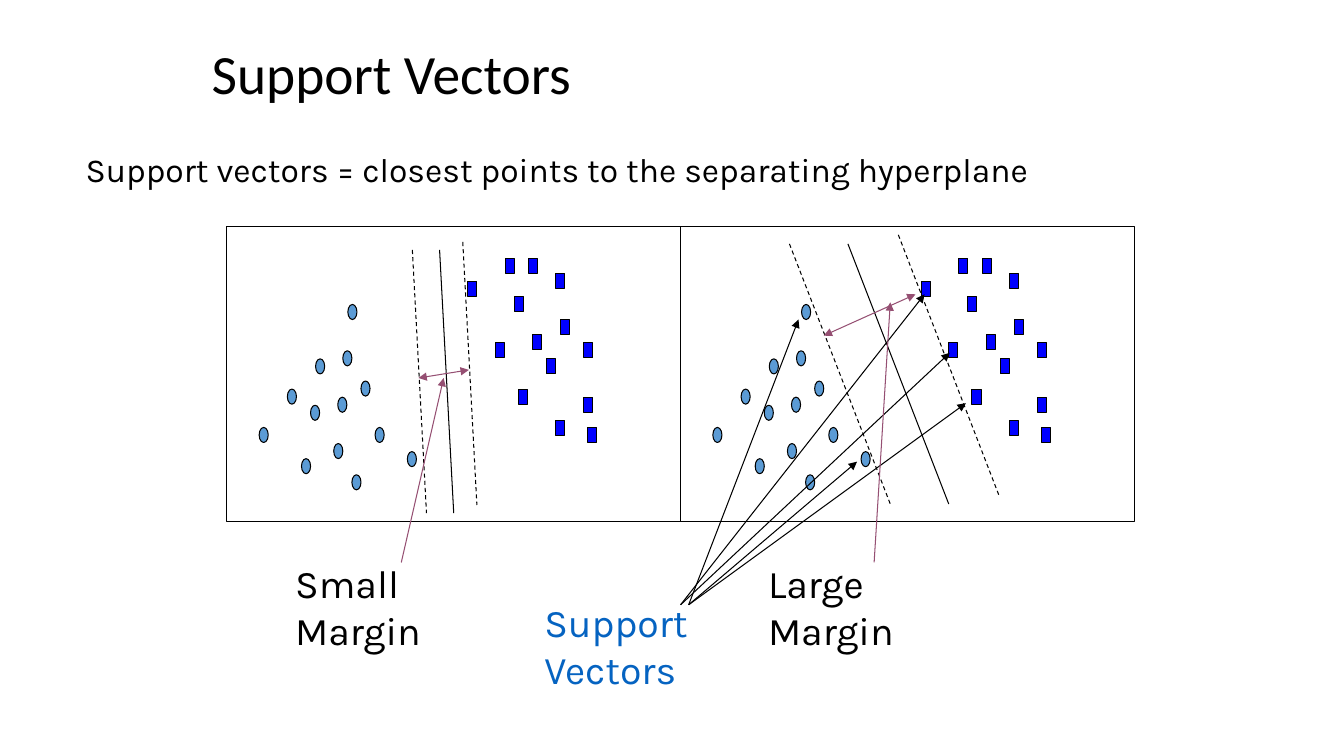
from lxml import etree
from pptx import Presentation
from pptx.dml.color import RGBColor
from pptx.enum.dml import MSO_LINE
from pptx.enum.shapes import MSO_CONNECTOR, MSO_SHAPE
from pptx.enum.text import MSO_ANCHOR
from pptx.oxml.ns import qn
from pptx.util import Inches, Pt

BLACK = RGBColor(0x00, 0x00, 0x00)
SKY = RGBColor(0x5B, 0x9B, 0xD5)
BLUE = RGBColor(0x00, 0x00, 0xFF)
PLUM = RGBColor(0x95, 0x4F, 0x72)
LINK = RGBColor(0x05, 0x63, 0xC1)
OVAL, RECT = MSO_SHAPE.OVAL, MSO_SHAPE.RECTANGLE
STRAIGHT, DASH, MIDDLE = MSO_CONNECTOR.STRAIGHT, MSO_LINE.DASH, MSO_ANCHOR.MIDDLE
THIN = Pt(0.75)

prs = Presentation()
prs.slide_width, prs.slide_height = Inches(13.33), Inches(7.5)
slide = prs.slides.add_slide(prs.slide_layouts[6])


def add_line(shapes, ends, color=BLACK, dash=None, heads=()):
    """Draw a thin line; heads names the arrowhead tags, headEnd before tailEnd."""
    line = shapes.add_connector(STRAIGHT, *[Inches(v) for v in ends])
    line.line.color.rgb = color
    line.line.width = THIN
    if dash:
        line.line.dash_style = dash
    for tag in heads:
        etree.SubElement(line.line._get_or_add_ln(), qn(tag), type="triangle")
    etree.SubElement(line._element.spPr, qn("a:effectLst"))


def add_mark(shapes, kind, box, fill=None):
    mark = shapes.add_shape(kind, *[Inches(v) for v in box])
    mark.shadow.inherit = False
    if fill:
        mark.fill.solid()
        mark.fill.fore_color.rgb = fill
    else:
        mark.fill.background()
    mark.line.color.rgb = BLACK
    mark.line.width = THIN


# Both panels show the same points, with different separating lines
dots = [(2.99, 4.55), (3.08, 4.02), (2.57, 4.24), (2.85, 3.86), (3.31, 4.4),
        (3.13, 3.56), (3.35, 3.94), (3.4, 3.48), (3.58, 3.78), (3.72, 4.24),
        (3.49, 4.71), (4.04, 4.48), (3.45, 3.02)]
blocks = [(4.91, 3.4), (4.64, 2.79), (5.01, 2.56), (5.14, 3.86), (5.1, 2.94),
          (5.28, 3.32), (5.24, 2.56), (5.51, 2.71), (5.42, 3.56), (5.56, 3.17),
          (5.51, 4.17), (5.79, 3.4), (5.79, 3.94), (5.83, 4.24)]
panels = [
    (2.25, [((4.59, 2.4, 4.73, 5.01), DASH), ((4.09, 2.48, 4.23, 5.09), DASH),
            ((4.36, 2.48, 4.5, 5.09), None)]),
    (6.75, [((7.83, 2.42, 8.83, 5), DASH), ((8.91, 2.33, 9.91, 4.92), DASH),
            ((8.41, 2.42, 9.41, 5), None)]),
]
for left, planes in panels:
    panel = slide.shapes.add_group_shape().shapes
    shift = left - panels[0][0]
    for kind, fill, spots in [(OVAL, SKY, dots), (RECT, BLUE, blocks)]:
        for x, y in spots:
            add_mark(panel, kind, (x + shift, y, 0.09, 0.15), fill)
    add_mark(panel, RECT, (left, 2.25, 4.5, 2.92))
    for ends, dash in planes:
        add_line(panel, ends, dash=dash)

# Arrows from the label to each support vector
vectors = [(6.75, 9.17, 2.92), (6.75, 9.42, 3.5), (6.83, 9.58, 4),
           (6.83, 8.5, 4.58), (6.83, 7.92, 3.17)]
for start, x, y in vectors:
    add_line(slide.shapes, (start, 6, x, y), heads=["a:tailEnd"])

# Margin width, then the pointer from its label
margins = [((4.15, 3.75, 4.65, 3.67), (3.98, 5.58, 4.4, 3.75)),
           ((8.17, 3.33, 9.08, 2.92), (8.67, 5.58, 8.83, 3))]
for span, pointer in margins:
    add_line(slide.shapes, span, PLUM, heads=["a:headEnd", "a:tailEnd"])
    add_line(slide.shapes, pointer, PLUM, heads=["a:tailEnd"])

texts = [
    ("Support Vectors", (2, 0.42, 9.42, 0.67), "Calibri", 39.6, BLACK),
    ("Support vectors = closest points to the separating hyperplane",
     (0.75, 1.43, 10.26, 0.5), "Karla", 24, BLACK),
    ("Small Margin", (2.83, 5.5, 2.2, 1.03), "Karla", 28, BLACK),
    ("Support Vectors", (5.3, 5.89, 2.6, 1.03), "Karla", 28, LINK),
    ("Large Margin", (7.52, 5.5, 2.2, 1.03), "Karla", 28, BLACK),
]
for words, box, face, size, color in texts:
    frame = slide.shapes.add_textbox(*[Inches(v) for v in box]).text_frame
    frame.word_wrap = True
    para = frame.paragraphs[0]
    para.text = words
    para.font.name, para.font.size = face, Pt(size)
    para.font.color.rgb = color
    if face == "Calibri":
        frame.vertical_anchor = MIDDLE
        para.line_spacing = 0.9

prs.save("out.pptx")
